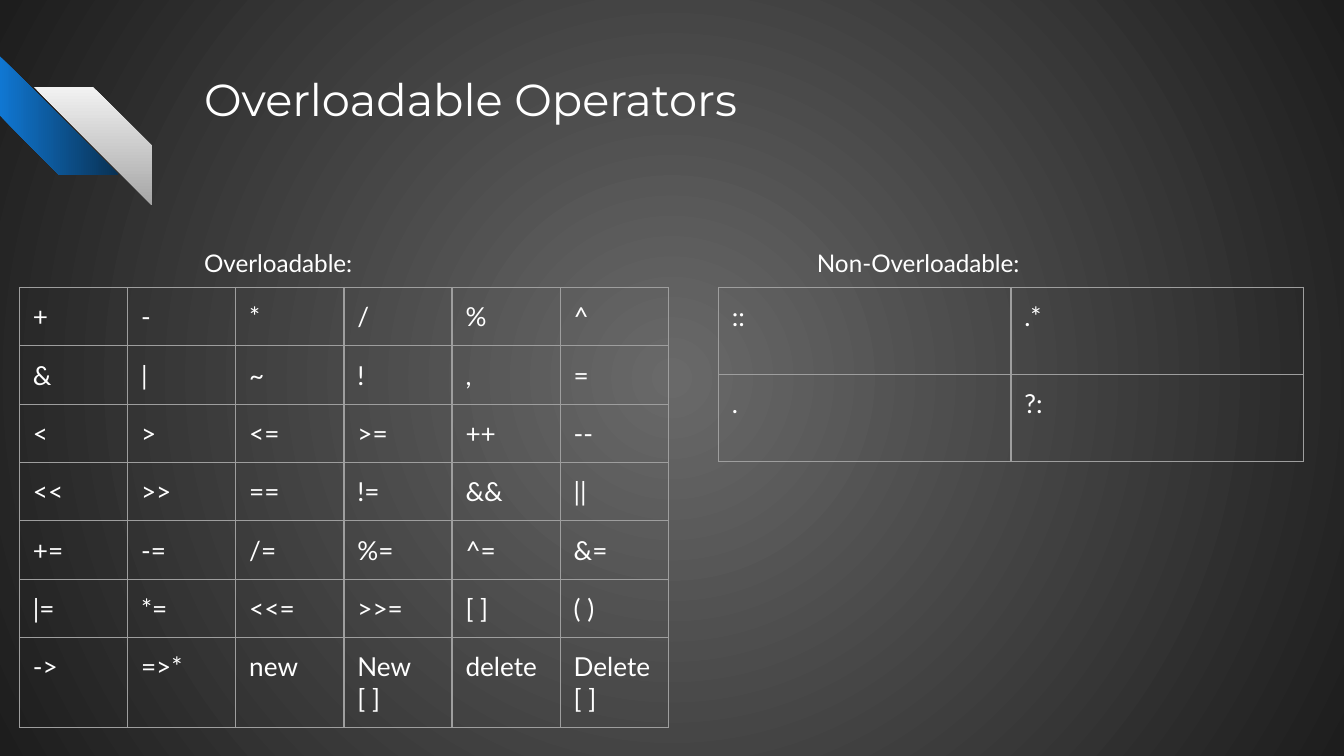
from dataclasses import dataclass

from lxml import etree
from pptx import Presentation
from pptx import util as u
from pptx.dml import color
from pptx.enum import shapes, text
from pptx.oxml import ns

WIDTH = u.Inches(10)
HEIGHT = WIDTH * 9 // 16
MARGIN = u.Inches(0.1)
WHITE, RULE = "FFFFFF", "9E9E9E"


@dataclass
class Area:
    left: float
    top: float
    width: float
    height: float

    def lengths(self) -> tuple:
        return (across(self.left), down(self.top),
                across(self.width), down(self.height))


@dataclass
class Stripe:
    area: Area
    start: str
    end: str
    rotation: int = 0
    mirrored: bool = False


@dataclass
class Label:
    area: Area
    wording: str
    font: str
    size: int
    spacing: float = 1.0


@dataclass
class OperatorGrid:
    area: Area
    rows: list
    heights: list


def across(percent: float) -> int:
    return round(WIDTH * percent / 100)


def down(percent: float) -> int:
    return round(HEIGHT * percent / 100)


def rgb(value: str) -> color.RGBColor:
    return color.RGBColor.from_string(value)


def set_gradient(fill, start: str, end: str) -> None:
    fill.gradient()
    fill.gradient_angle = 270
    for stop, value in zip(fill.gradient_stops, (start, end)):
        stop.color.rgb = rgb(value)


def paint_background(page) -> None:
    set_gradient(page.background.fill, "696969", "1D1D1D")
    linear = page._element.find(".//" + ns.qn("a:lin"))
    radial = etree.Element(ns.qn("a:path"), path="circle")
    etree.SubElement(radial, ns.qn("a:fillToRect"),
                     l="50000", t="50000", r="50000", b="50000")
    linear.getparent().replace(linear, radial)


def draw_stripe(page, stripe: Stripe) -> None:
    shape = page.shapes.add_shape(
        shapes.MSO_SHAPE.DIAGONAL_STRIPE, *stripe.area.lengths())
    shape.adjustments[0] = 0.5
    shape.rotation = stripe.rotation
    shape.shadow.inherit = False
    shape.line.fill.background()
    set_gradient(shape.fill, stripe.start, stripe.end)
    if stripe.mirrored:
        shape._element.spPr.xfrm.set("flipH", "1")


def write(frame, wording: str, font: str, size: int, spacing: float = 1.0) -> None:
    frame.text = wording
    para = frame.paragraphs[0]
    para.line_spacing = spacing
    for span in para.runs:
        span.font.name = font
        span.font.size = u.Pt(size)
        span.font.color.rgb = rgb(WHITE)


def set_margins(holder) -> None:
    holder.margin_left = holder.margin_right = MARGIN
    holder.margin_top = holder.margin_bottom = MARGIN


def draw_label(page, label: Label) -> None:
    frame = page.shapes.add_textbox(*label.area.lengths()).text_frame
    frame.word_wrap = True
    frame.vertical_anchor = text.MSO_ANCHOR.TOP
    set_margins(frame)
    write(frame, label.wording, label.font, label.size, label.spacing)


def outline_cell(cell) -> None:
    properties = cell._tc.get_or_add_tcPr()
    for index, side in enumerate(("a:lnL", "a:lnR", "a:lnT", "a:lnB")):
        line = etree.Element(ns.qn(side), w=str(u.Pt(0.75)))
        solid = etree.SubElement(line, ns.qn("a:solidFill"))
        etree.SubElement(solid, ns.qn("a:srgbClr"), val=RULE)
        properties.insert(index, line)


def draw_operators(page, grid: OperatorGrid) -> None:
    table = page.shapes.add_table(
        len(grid.rows), len(grid.rows[0]), *grid.area.lengths()).table
    table.first_row = table.horz_banding = False
    for column in table.columns:
        column.width = across(grid.area.width / len(grid.rows[0]))
    for row, height, operators in zip(table.rows, grid.heights, grid.rows):
        row.height = down(height)
        for cell, operator in zip(row.cells, operators):
            cell.fill.background()
            set_margins(cell)
            outline_cell(cell)
            write(cell.text_frame, operator, "Lato", 14)


STRIPES = [
    Stripe(Area(0, 7.47, 8.8, 15.64), "1077D2", "093153", rotation=270),
    Stripe(Area(2.5, 11.45, 8.8, 15.64), "F2F2F2", "A6A6A6", mirrored=True),
]

LABELS = [
    Label(Area(14.2, 7.7, 77, 17.78), "Overloadable Operators", "Montserrat", 24),
    Label(Area(14.2, 30.45, 37.2, 56.53), "Overloadable:", "Lato", 13, 1.15),
    Label(Area(59.8, 30.45, 37.2, 56.53), "Non-Overloadable:", "Lato", 13, 1.15),
]

GRIDS = [
    OperatorGrid(
        Area(1.45, 38.04, 48.3, 57.9),
        [
            ["+", "-", "*", "/", "%", "^"],
            ["&", "|", "~", "!", ",", "="],
            ["<", ">", "<=", ">=", "++", "--"],
            ["<<", ">>", "==", "!=", "&&", "||"],
            ["+=", "-=", "/=", "%=", "^=", "&="],
            ["|=", "*=", "<<=", ">>=", "[ ]", "( )"],
            ["->", "=>*", "new", "New [ ]", "delete", "Delete [ ]"],
        ],
        [7.67] * 6 + [11.88],
    ),
    OperatorGrid(
        Area(53.45, 38.04, 43.54, 23),
        [["::", ".*"], [".", "?:"]],
        [11.5] * 2,
    ),
]


def main() -> None:
    deck = Presentation()
    deck.slide_width, deck.slide_height = WIDTH, HEIGHT
    page = deck.slides.add_slide(deck.slide_layouts[6])
    paint_background(page)
    for stripe in STRIPES:
        draw_stripe(page, stripe)
    for label in LABELS:
        draw_label(page, label)
    for grid in GRIDS:
        draw_operators(page, grid)
    deck.save("out.pptx")


if __name__ == "__main__":
    main()
